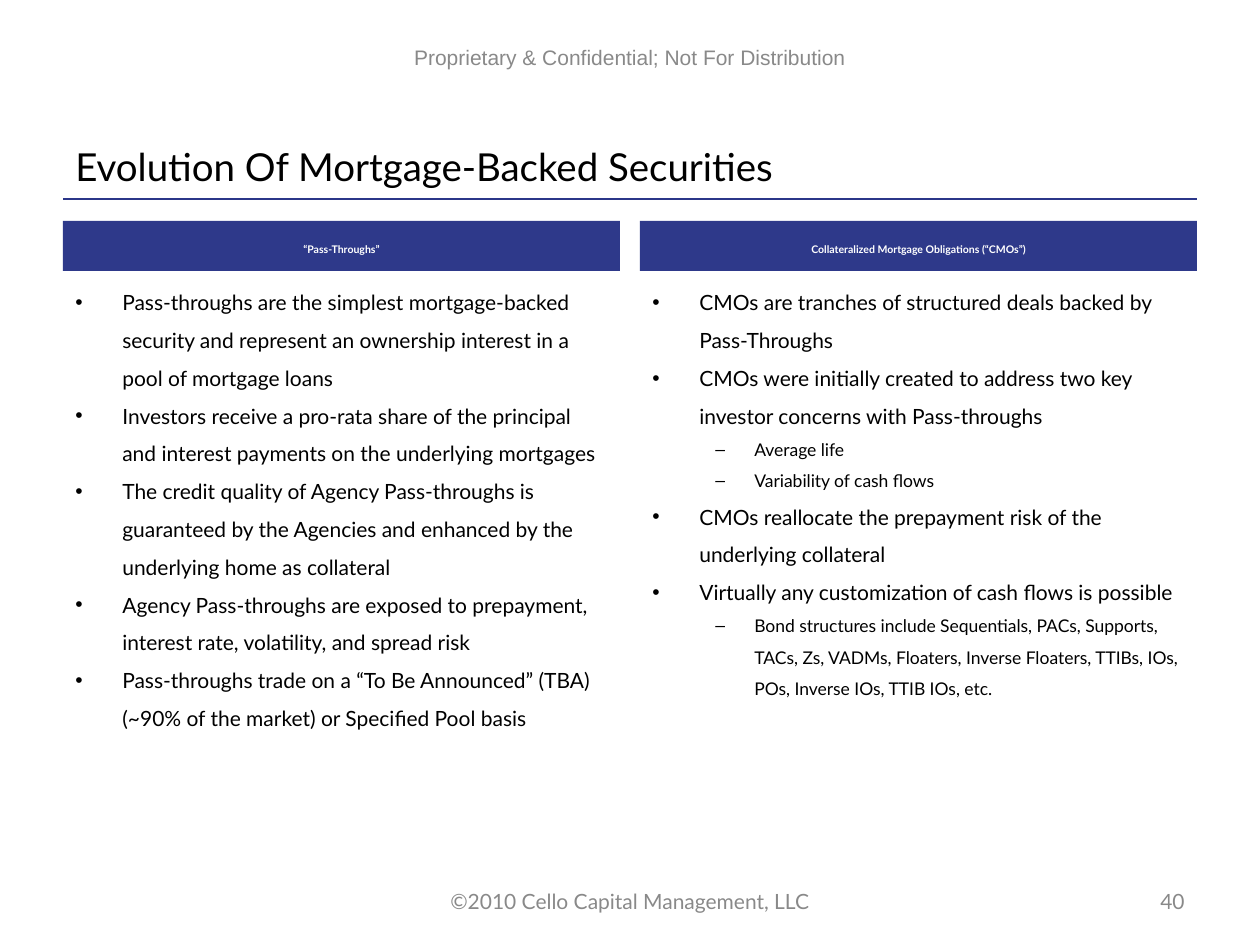
from lxml import etree
from pptx import Presentation
from pptx.dml.color import RGBColor
from pptx.enum.shapes import MSO_CONNECTOR, MSO_SHAPE
from pptx.enum.text import MSO_ANCHOR, PP_ALIGN
from pptx.oxml.ns import qn
from pptx.util import Emu, Pt

LEFT, CENTER, RIGHT = PP_ALIGN.LEFT, PP_ALIGN.CENTER, PP_ALIGN.RIGHT
TOP, MIDDLE, BOTTOM = MSO_ANCHOR.TOP, MSO_ANCHOR.MIDDLE, MSO_ANCHOR.BOTTOM
RECT, STRAIGHT = MSO_SHAPE.RECTANGLE, MSO_CONNECTOR.STRAIGHT

PX_PER_INCH = 126
# level: (bullet, left margin px, hanging px, text size)
LEVELS = {0: ("•", 47, 47, 12), 1: ("–", 102, 39, 10)}

MARGIN, COL_W, COL_STEP = 63, 557, 577
COLUMNS = [
    ("“Pass-Throughs”", [
        (0, "Pass-throughs are the simplest mortgage-backed security and represent "
            "an ownership interest in a pool of mortgage loans"),
        (0, "Investors receive a pro-rata share of the principal and interest "
            "payments on the underlying mortgages"),
        (0, "The credit quality of Agency Pass-throughs is guaranteed by the "
            "Agencies and enhanced by the underlying home as collateral"),
        (0, "Agency Pass-throughs are exposed to prepayment, interest rate, "
            "volatility, and spread risk"),
        (0, "Pass-throughs trade on a “To Be Announced” (TBA) (~90% of the market) "
            "or Specified Pool basis"),
    ]),
    ("Collateralized Mortgage Obligations (“CMOs”)", [
        (0, "CMOs are tranches of structured deals backed by Pass-Throughs"),
        (0, "CMOs were initially created to address two key investor concerns "
            "with Pass-throughs"),
        (1, "Average life"),
        (1, "Variability of cash flows"),
        (0, "CMOs reallocate the prepayment risk of the underlying collateral"),
        (0, "Virtually any customization of cash flows is possible"),
        (1, "Bond structures include Sequentials, PACs, Supports, TACs, Zs, VADMs, "
            "Floaters, Inverse Floaters, TTIBs, IOs, POs, Inverse IOs, TTIB IOs, etc."),
    ]),
]


def px(n):
    return Emu(round(n * 914400 / PX_PER_INCH))


def rgb(value):
    return RGBColor.from_string(value)


def write(p, text, size=12, color="000000", font="Lato", bold=False,
          align=LEFT, spacing=None):
    p.alignment = align
    if spacing:
        p.line_spacing = spacing
    r = p.add_run()
    r.text = text
    r.font.size, r.font.name, r.font.bold = Pt(size), font, bold
    r.font.color.rgb = rgb(color)


class Deck:
    NAVY, RULE, GREY, WHITE = "2E398A", "2B3689", "898989", "FFFFFF"

    def __init__(self):
        self.prs = Presentation()
        self.prs.slide_width, self.prs.slide_height = px(1260), px(945)
        self.s = self.prs.slides.add_slide(self.prs.slide_layouts[6])

    def frame(self, x, y, w, h, anchor=TOP):
        tf = self.s.shapes.add_textbox(px(x), px(y), px(w), px(h)).text_frame
        tf.word_wrap = True
        tf.vertical_anchor = anchor
        return tf

    def label(self, x, y, w, h, text, anchor=MIDDLE, **fmt):
        write(self.frame(x, y, w, h, anchor).paragraphs[0], text, **fmt)

    def rule(self, x1, y1, x2, y2):
        line = self.s.shapes.add_connector(STRAIGHT, px(x1), px(y1), px(x2), px(y2))
        line.line.color.rgb = rgb(self.RULE)
        line.line.width = Pt(0.75)
        etree.SubElement(line._element.spPr, qn("a:effectLst"))

    def banner(self, x, y, w, h, text):
        sp = self.s.shapes.add_shape(RECT, px(x), px(y), px(w), px(h))
        sp.shadow.inherit = False
        sp.fill.solid()
        sp.fill.fore_color.rgb = rgb(self.NAVY)
        sp.line.fill.background()
        tf = sp.text_frame
        tf.word_wrap = True
        tf.vertical_anchor = MIDDLE
        write(tf.paragraphs[0], text, size=6, color=self.WHITE, bold=True,
              align=CENTER, spacing=1.5)

    def bullets(self, x, y, w, h, items):
        tf = self.frame(x, y, w, h)
        for i, (level, text) in enumerate(items):
            p = tf.add_paragraph() if i else tf.paragraphs[0]
            mark, margin, hang, size = LEVELS[level]
            p.level = level
            write(p, text, size=size, spacing=1.5)
            pPr = p._p.get_or_add_pPr()
            pPr.set("marL", str(px(margin)))
            pPr.set("indent", str(px(-hang)))
            etree.SubElement(pPr, qn("a:buFont")).set("typeface", "Arial")
            etree.SubElement(pPr, qn("a:buChar")).set("char", mark)


def main():
    deck = Deck()

    # Page header, title and rule
    deck.label(357, 38, 546, 50, "Proprietary & Confidential; Not For Distribution",
               anchor=TOP, font="Arial", color=deck.GREY, align=CENTER)
    deck.label(MARGIN, 88, 1134, 107, "Evolution Of Mortgage-Backed Securities",
               anchor=BOTTOM, size=22)
    deck.rule(MARGIN, 199, 1197, 199)

    # Two columns: banner above bullets
    for i, (heading, items) in enumerate(COLUMNS):
        x = MARGIN + i * COL_STEP
        deck.banner(x, 221, COL_W, 50, heading)
        deck.bullets(x, 271, COL_W, 566, items)

    # Footer
    deck.label(410, 876, 440, 50, "©2010 Cello Capital Management, LLC",
               color=deck.GREY, align=CENTER)
    deck.label(903, 876, 294, 50, "40", color=deck.GREY, align=RIGHT)

    deck.prs.save("out.pptx")


if __name__ == "__main__":
    main()
